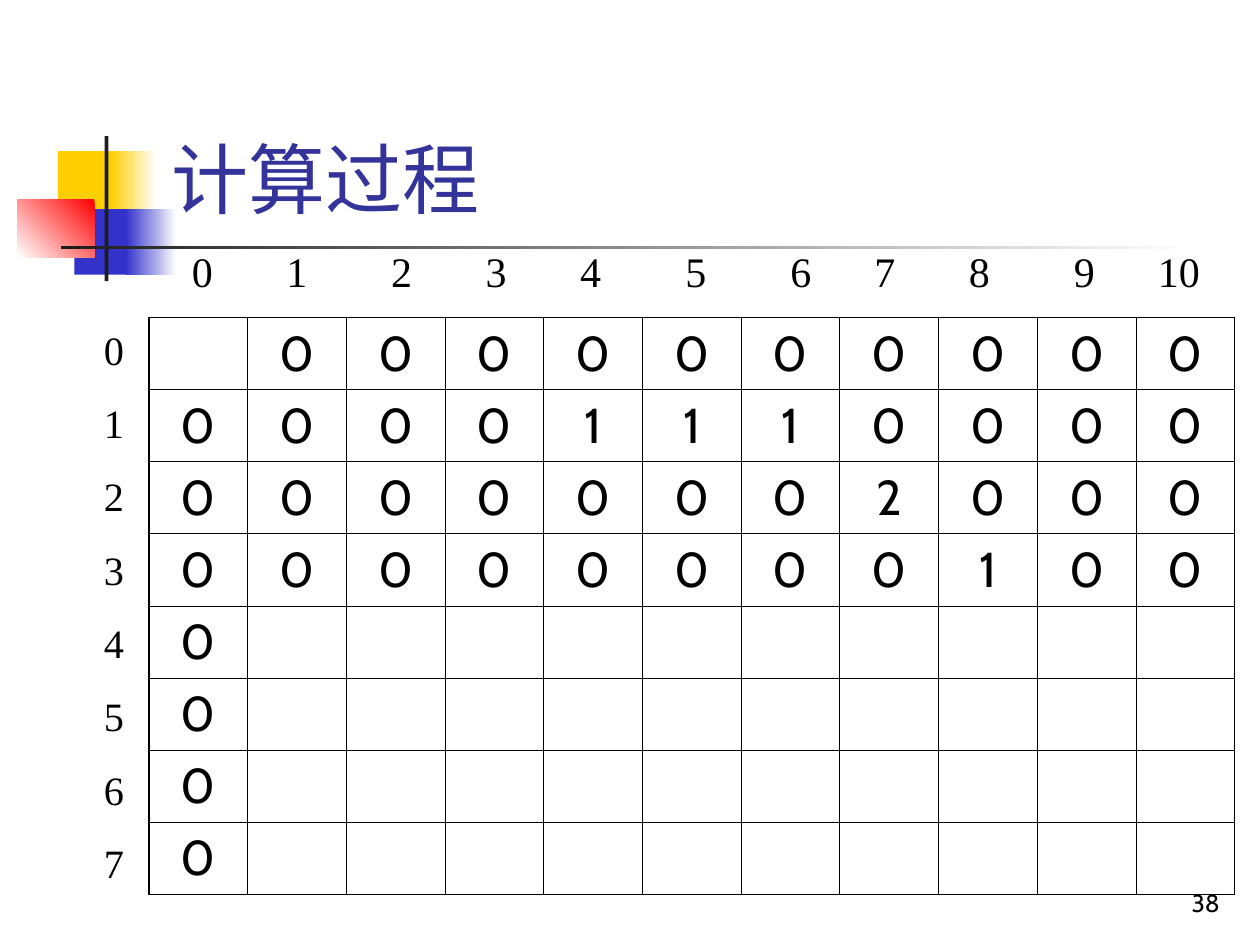
"""Build the slide that shows the calculation grid for the two index ranges."""
import pptx
import pptx.dml.color
import pptx.enum.shapes
import pptx.enum.text
import pptx.oxml.ns
import pptx.util
from lxml import etree

Pt = pptx.util.Pt
ALIGN = pptx.enum.text.PP_ALIGN
ANCHOR = pptx.enum.text.MSO_ANCHOR

COLORS = {
    "yellow": "FFCF01",
    "blue": "3333CC",
    "red": "FF0000",
    "dark": "1C1C1C",
    "white": "FFFFFF",
    "black": "000000",
    "title": "333399",
}

DECORATION = [
    (33.1, 86.4, 34.6, 37.4, ["yellow"], 0),
    (63.4, 86.4, 25.9, 37.4, ["white", "yellow"], 180),
    (42.5, 119.5, 33.1, 37.4, ["blue"], 0),
    (72, 119.5, 28.8, 37.4, ["white", "blue"], 180),
    (10.1, 113.8, 43.9, 33.1, ["red", "white"], 225),
    (59.8, 77.8, 2.2, 82.8, ["dark"], 0),
    (34.6, 140.4, 648, 2.2, ["white", "dark"], 180),
]

GRID = [
    ["", *"0000000000"],
    list("00001110000"),
    list("00000002000"),
    list("00000000100"),
    *[["0"] + [""] * 10 for _ in range(4)],
]

HEADING_STOPS = [6, 60, 120, 174, 228, 288, 348, 396, 450, 510, 558]


def rgb(name):
    return pptx.dml.color.RGBColor.from_string(COLORS[name])


def add_tab_stops(paragraph, stops):
    properties = paragraph._p.get_or_add_pPr()
    tab_list = etree.SubElement(properties, pptx.oxml.ns.qn("a:tabLst"))
    for stop in stops:
        etree.SubElement(tab_list, pptx.oxml.ns.qn("a:tab"), pos=str(Pt(stop)), algn="l")


def write_text(frame, lines, *, size, font="Cabin", color="black", align=ALIGN.LEFT,
               space=0, line_height=None, stops=()):
    for index, line in enumerate(lines):
        paragraph = frame.add_paragraph() if index else frame.paragraphs[0]
        if stops:
            add_tab_stops(paragraph, stops)
        paragraph.alignment = align
        if index and space:
            paragraph.space_before = Pt(space)
        if line_height:
            paragraph.line_spacing = Pt(line_height)
        run = paragraph.add_run()
        run.text = line
        run.font.size = Pt(size)
        run.font.name = font
        run.font.color.rgb = rgb(color)


def add_text_box(slide, left, top, width, height, lines, anchor=ANCHOR.TOP, **text_format):
    frame = slide.shapes.add_textbox(Pt(left), Pt(top), Pt(width), Pt(height)).text_frame
    frame.word_wrap = True
    frame.vertical_anchor = anchor
    write_text(frame, lines, **text_format)


def add_block(slide, left, top, width, height, colors, angle):
    shape = slide.shapes.add_shape(pptx.enum.shapes.MSO_SHAPE.RECTANGLE,
                                   Pt(left), Pt(top), Pt(width), Pt(height))
    shape.shadow.inherit = False
    shape.line.fill.background()
    if len(colors) == 1:
        shape.fill.solid()
        shape.fill.fore_color.rgb = rgb(colors[0])
        return
    shape.fill.gradient()
    shape.fill.gradient_angle = angle
    for stop, color in zip(shape.fill.gradient_stops, colors):
        stop.color.rgb = rgb(color)


def add_title(slide, text):
    title = slide.shapes.title
    title.left, title.top, title.width, title.height = Pt(90.7), Pt(16.6), Pt(613.4), Pt(115.2)
    title._element.getparent().append(title._element)
    frame = title.text_frame
    frame.auto_size = pptx.enum.text.MSO_AUTO_SIZE.NONE
    frame.vertical_anchor = ANCHOR.BOTTOM
    write_text(frame, [text], size=44, color="title")


def set_borders(cell, widths):
    properties = cell._tc.get_or_add_tcPr()
    for side, width in widths.items():
        line = etree.SubElement(properties, pptx.oxml.ns.qn(f"a:ln{side}"), w=str(Pt(width)))
        fill = etree.SubElement(line, pptx.oxml.ns.qn("a:solidFill"))
        etree.SubElement(fill, pptx.oxml.ns.qn("a:srgbClr"), val=COLORS["black"])


def add_grid(slide, left, top, width, height, rows):
    row_count, column_count = len(rows), len(rows[0])
    table = slide.shapes.add_table(row_count, column_count, Pt(left), Pt(top),
                                   Pt(width), Pt(height)).table
    table.first_row = table.horz_banding = False
    thin, thick = 0.45, 1.08
    for row, values in enumerate(rows):
        for column, value in enumerate(values):
            cell = table.cell(row, column)
            set_borders(cell, {
                "L": thin if column else thick,
                "R": thick if column == column_count - 1 else thin,
                "T": thin if row else thick,
                "B": thick if row == row_count - 1 else thin,
            })
            cell.fill.background()
            if value:
                write_text(cell.text_frame, [value], size=28, align=ALIGN.CENTER)


def main():
    presentation = pptx.Presentation()
    presentation.slide_width, presentation.slide_height = Pt(720), Pt(540)
    slide = presentation.slides.add_slide(presentation.slide_layouts[5])
    for block in DECORATION:
        add_block(slide, *block)
    add_title(slide, "计算过程")
    add_grid(slide, 85, 181.4, 620.6, 326.2, GRID)
    headings = "".join(f"\t{number}" for number in range(11))
    add_text_box(slide, 96.5, 136.8, 598.3, 36, [headings], size=24,
                 font="Times New Roman", line_height=28.8, stops=HEADING_STOPS)
    add_text_box(slide, 39.6, 182.2, 51.1, 328.3, [str(number) for number in range(8)], size=23,
                 font="Times New Roman", align=ALIGN.CENTER, space=14.4, line_height=27.5)
    add_text_box(slide, 554.4, 491.8, 149.8, 36, ["38"], anchor=ANCHOR.BOTTOM,
                 size=14, align=ALIGN.RIGHT)
    presentation.save("out.pptx")


if __name__ == "__main__":
    main()
